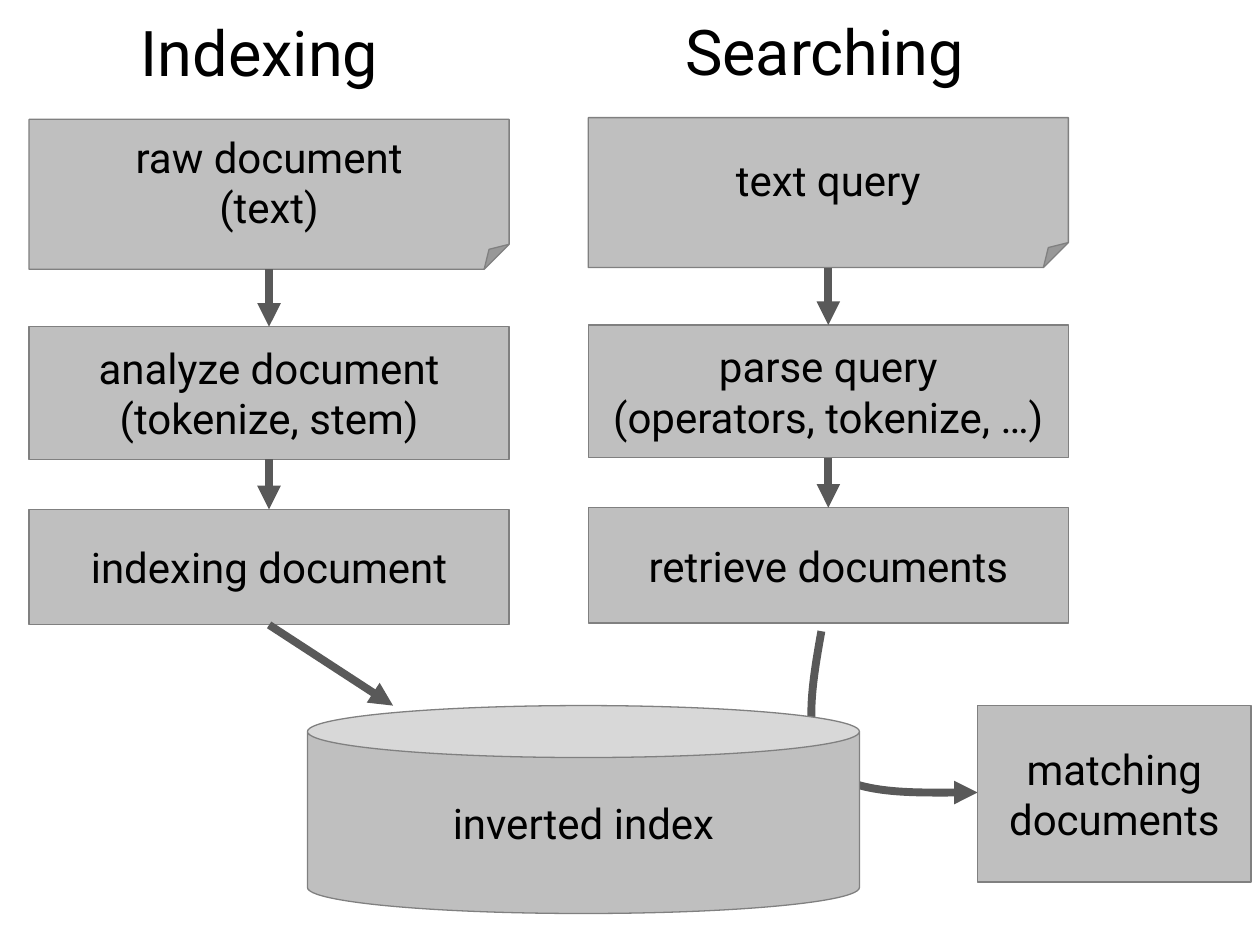
"""Build a slide that shows the indexing and searching flows around an inverted index."""
from lxml import etree
from pptx import Presentation
from pptx import util as u
from pptx.dml import color
from pptx.enum import shapes, text
from pptx.oxml import ns

GREY, EDGE, ARROW, BLACK = "BFBFBF", "808080", "595959", "000000"
KIND = shapes.MSO_SHAPE
COLUMN_WIDTH = 274.3
ROWS = [(0, 85.7, KIND.FOLDED_CORNER), (118.5, 75.8, KIND.RECTANGLE), (222.9, 66, KIND.RECTANGLE)]
COLUMNS = [
    ("Indexing", (73.4, 4.3, 156.2, 51), 16.6, 68.2,
     ["raw document\v(text)", "analyze document\n(tokenize, stem)", "indexing document"]),
    ("Searching", (384.5, 3.6, 180, 51), 336.2, 67.2,
     ["text query", "parse query\n(operators, tokenize, …)", "retrieve documents"]),
]
CURVE = [(469.4, 360.7), (463.7, 392.4), (458.6, 424.1), (473, 439.2),
         (488.2, 454.3), (543.6, 452.9), (558.7, 452.9)]


def points(values):
    """Return the values as lengths in points."""
    return [u.Pt(value) for value in values]


def apply_format(target, values):
    """Set each named attribute on the target."""
    for name, value in values.items():
        setattr(target, name, value)


def paint(target, value):
    """Give a fill or a font colour its hex colour."""
    if hasattr(target, "solid"):
        target.solid()
        target = target.fore_color
    target.rgb = color.RGBColor.from_string(value)


def write(shape, content, size, align, frame_format):
    """Write the content into a shape, one paragraph for each line."""
    frame = shape.text_frame
    apply_format(frame, frame_format)
    frame.text = content
    for paragraph in frame.paragraphs:
        paragraph.alignment = align
        for run in paragraph.runs:
            apply_format(run.font, {"size": u.Pt(size), "name": "Roboto"})
            paint(run.font.color, BLACK)


def add_heading(slide, content, box):
    """Add a column heading."""
    heading = slide.shapes.add_textbox(*points(box))
    write(heading, content, 36, text.PP_ALIGN.LEFT,
          {"word_wrap": False, "auto_size": text.MSO_AUTO_SIZE.SHAPE_TO_FIT_TEXT})


def add_box(slide, kind, content, box):
    """Add a grey shape with centred text."""
    shape = slide.shapes.add_shape(kind, *points(box))
    shape.shadow.inherit = False
    paint(shape.fill, GREY)
    paint(shape.line.fill, EDGE)
    shape.line.width = u.Pt(0.75)
    write(shape, content, 24, text.PP_ALIGN.CENTER,
          {"word_wrap": True, "vertical_anchor": text.MSO_ANCHOR.MIDDLE})
    return shape


def style_arrow(shape):
    """Give a line its colour, width and arrowhead, without a shadow."""
    paint(shape.line.fill, ARROW)
    shape.line.width = u.Pt(4.5)
    properties = shape._element.spPr
    etree.SubElement(properties.find(ns.qn("a:ln")), ns.qn("a:tailEnd"), type="triangle")
    if properties.find(ns.qn("a:effectLst")) is None:
        etree.SubElement(properties, ns.qn("a:effectLst"))


def add_arrow(slide, start, end):
    """Add a straight arrow between two positions."""
    arrow = slide.shapes.add_connector(shapes.MSO_CONNECTOR.STRAIGHT, *points(start + end))
    style_arrow(arrow)
    return arrow


def link_boxes(slide, upper, lower):
    """Join the bottom of one box to the top of the next."""
    arrow = add_arrow(slide, (0, 0), (0, 0))
    arrow.begin_connect(upper, 2)
    arrow.end_connect(lower, 0)


def add_curved_arrow(slide, positions):
    """Add an arrow along cubic curves, with three positions for each curve."""
    start, *rest = [tuple(points(position)) for position in positions]
    builder = slide.shapes.build_freeform(*start)
    builder.add_line_segments(rest, close=False)
    curve = builder.convert_to_shape()
    curve.shadow.inherit = False
    curve.fill.background()
    outline = next(curve._element.iter(ns.qn("a:path")))
    segments = outline.findall(ns.qn("a:lnTo"))
    for index, segment in enumerate(segments):
        if index % 3 == 0:
            bezier = etree.SubElement(outline, ns.qn("a:cubicBezTo"))
        bezier.append(segment[0])
        outline.remove(segment)
    style_arrow(curve)


def add_column(slide, heading, heading_box, left, top, labels):
    """Add a heading with its chain of boxes."""
    add_heading(slide, heading, heading_box)
    boxes = [add_box(slide, kind, label, (left, top + offset, COLUMN_WIDTH, height))
             for label, (offset, height, kind) in zip(labels, ROWS)]
    for upper, lower in zip(boxes, boxes[1:]):
        link_boxes(slide, upper, lower)


def main():
    """Build and save the slide."""
    presentation = Presentation()
    apply_format(presentation, {"slide_width": u.Pt(720), "slide_height": u.Pt(540)})
    slide = presentation.slides.add_slide(presentation.slide_layouts[6])
    for column in COLUMNS:
        add_column(slide, *column)
    add_arrow(slide, (153.8, 357.1), (224.6, 403.2))
    add_curved_arrow(slide, CURVE)
    add_box(slide, KIND.RECTANGLE, "matching documents", (558.7, 403.2, 156.2, 100.8))
    add_box(slide, KIND.CAN, "inverted index", (175.7, 403.2, 315.4, 118.8))
    presentation.save("out.pptx")


main()
